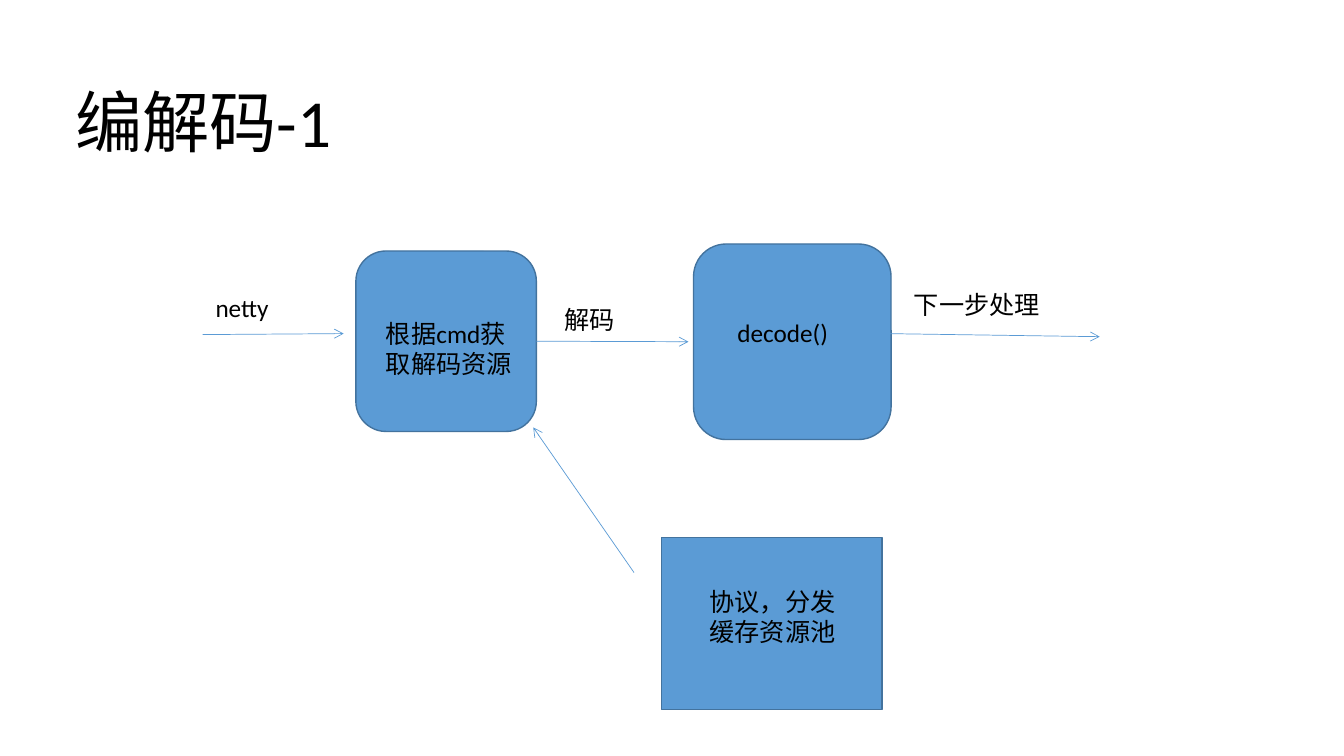
import pptx
import pptx.util
import pptx.dml.color
import pptx.enum.shapes
import pptx.enum.text
import pptx.oxml.ns
import lxml.etree

Pt = pptx.util.Pt
SHAPE = pptx.enum.shapes.MSO_SHAPE
FONT = "Calibri"
BLUE, EDGE, BLACK = "5B9BD5", "43739E", "000000"

BOXES = {
    "pool": (SHAPE.RECTANGLE, 472.4, 383.8, 157.7, 123.1),
    "resolve": (SHAPE.ROUNDED_RECTANGLE, 254.2, 179.3, 128.9, 128.9),
    "decode": (SHAPE.ROUNDED_RECTANGLE, 495.4, 174.3, 141.1, 139.7),
}
ARROWS = [
    (None, 144.7, 239, 245.5, 238.3),
    (None, 452.9, 409, 380.9, 305.3),
    ("resolve", 383.1, 243.7, 491.8, 244.1),
    (None, 632.2, 238.3, 785.5, 240.5),
]
LABELS = [
    ("编解码-1", 46.8, 54, 283.7, 65.5, {"size": 48}),
    ("协议，分发缓存资源池", 499.7, 415.4, 115.9, 50.4, {}),
    ("根据cmd获取解码资源", 268.6, 223.9, 107.3, 50.4, {}),
    ("解码", 396, 213.8, 78.5, 28.8, {}),
    ("netty", 146.9, 205.2, 98.6, 28.8, {}),
    ("decode()", 499.7, 223.2, 132.5, 28.8, {"indent": 20}),
    ("下一步处理", 645.8, 203, 148.3, 28.8, {}),
]


def color(value):
    return pptx.dml.color.RGBColor.from_string(value)


def add_box(s, kind, x, y, w, h):
    sp = s.shapes.add_shape(kind, Pt(x), Pt(y), Pt(w), Pt(h))
    sp.shadow.inherit = False
    sp.fill.solid()
    sp.fill.fore_color.rgb = color(BLUE)
    sp.line.color.rgb = color(EDGE)
    sp.line.width = Pt(1)
    return sp


def add_arrow(s, start, x1, y1, x2, y2):
    line = s.shapes.add_connector(
        pptx.enum.shapes.MSO_CONNECTOR.STRAIGHT, Pt(x1), Pt(y1), Pt(x2), Pt(y2))
    if start is not None:
        line.begin_connect(start, 3)
    line.line.color.rgb = color(BLUE)
    line.line.width = Pt(0.5)
    qn = pptx.oxml.ns.qn
    lxml.etree.SubElement(line.line._get_or_add_ln(), qn("a:tailEnd"), type="arrow")
    lxml.etree.SubElement(line._element.spPr, qn("a:effectLst"))


def add_text(s, text, x, y, w, h, size=18, indent=0):
    tf = s.shapes.add_textbox(Pt(x), Pt(y), Pt(w), Pt(h)).text_frame
    tf.word_wrap = True
    tf.auto_size = pptx.enum.text.MSO_AUTO_SIZE.SHAPE_TO_FIT_TEXT
    p = tf.paragraphs[0]
    if indent:
        p._p.get_or_add_pPr().set("marL", str(Pt(indent)))
    r = p.add_run()
    r.text = text
    r.font.name = FONT
    r.font.size = Pt(size)
    r.font.color.rgb = color(BLACK)


def main():
    prs = pptx.Presentation()
    prs.slide_width, prs.slide_height = Pt(960), Pt(540)
    s = prs.slides.add_slide(prs.slide_layouts[6])
    boxes = {name: add_box(s, *box) for name, box in BOXES.items()}
    for start, *ends in ARROWS:
        add_arrow(s, boxes.get(start), *ends)
    for *label, style in LABELS:
        add_text(s, *label, **style)
    prs.save("out.pptx")


if __name__ == "__main__":
    main()
